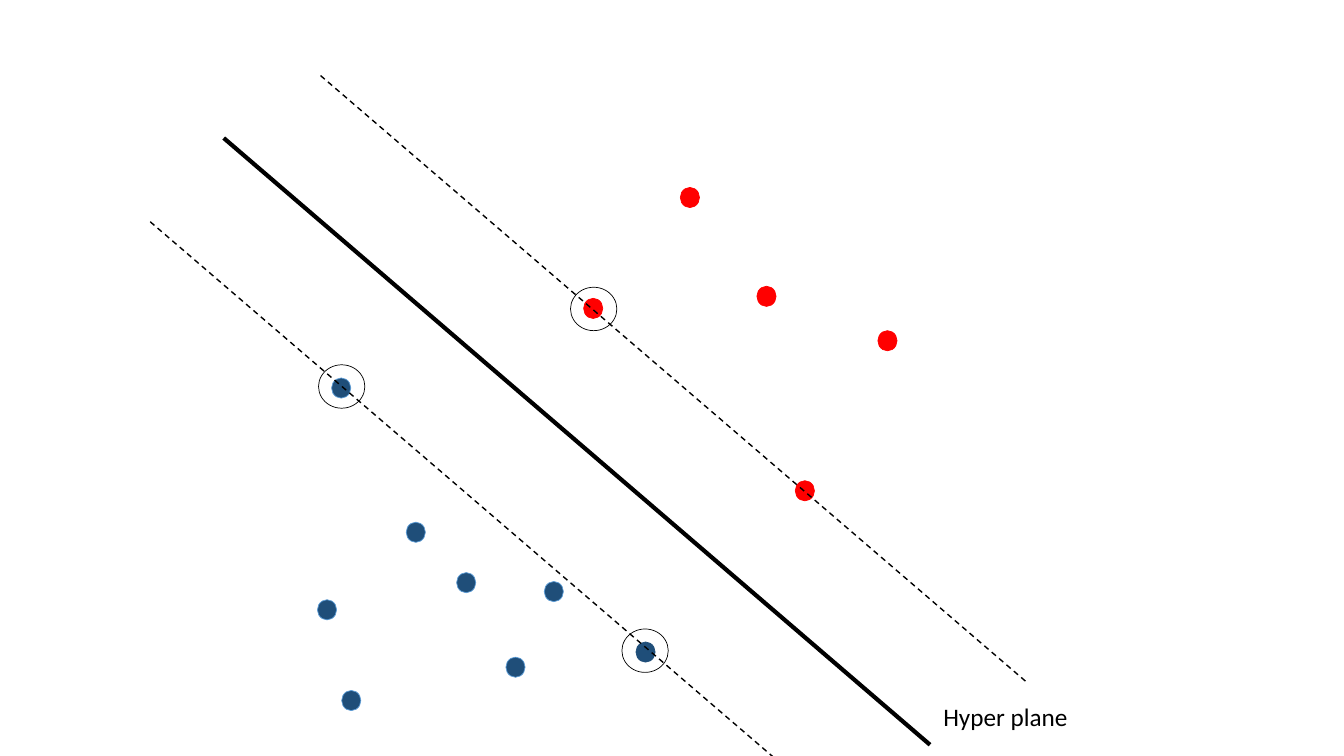
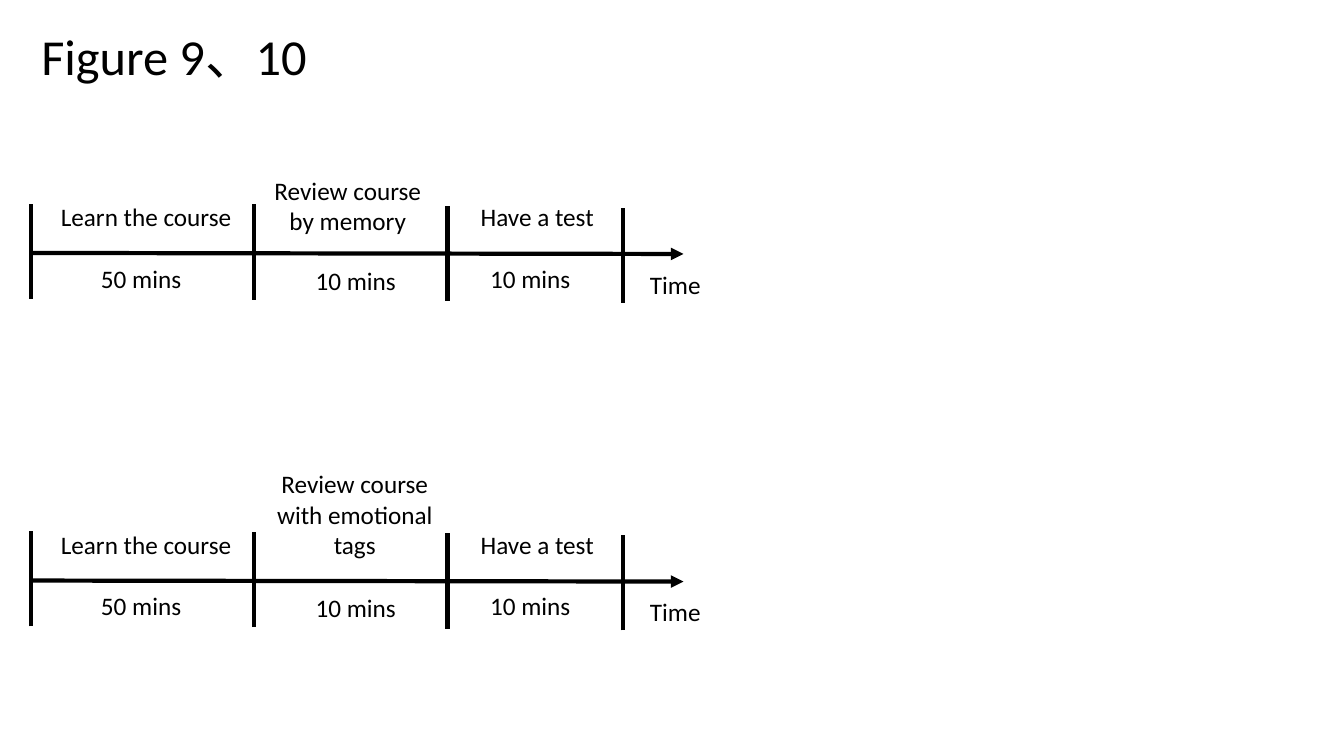
from lxml.etree import SubElement
from pptx import Presentation
from pptx.dml.color import RGBColor
from pptx.enum.dml import MSO_LINE as Dash
from pptx.enum.shapes import MSO_CONNECTOR as Conn, MSO_SHAPE as Shape
from pptx.enum.text import MSO_ANCHOR as Anchor, PP_ALIGN as Align
from pptx.oxml.ns import qn
from pptx.util import Pt

FONT = "Calibri"
BLACK, RED, NAVY, SKY = "000000", "FF0000", "1F4E79", "5B9BD5"

# Dot and ring centres
REDS = [(574.9, 350.6), (423.7, 220.3), (547.5, 211.7),
        (633.9, 243.4), (492.8, 141.1)]
BLUES = [(233.6, 435.6), (250.9, 500.4), (297, 380.2), (368.2, 476.6),
         (395.6, 422.6), (243.7, 277.2), (333, 416.2)]
EDGE_DOT = (461.1, 465.8)
RINGS = [(424.1, 220.7), (244.1, 276.1), (460.8, 464.8)]

# The plane and its two margins share one run and drop
RUN, DROP = 504.5, 433.4
PLANE = (159.8, 98.6)
MARGINS = [(229, 54), (107.3, 158.4)]

# Timeline: tick x and top, then labels, both for the upper row
TICKS = [(22.3, 145.4), (181.4, 146), (319.7, 147), (445, 148.3)]
TICK_H = 68
LABELS = [("Learn the course", 25.2, 140.4, 158.4),
          ("Have a test", 324.7, 140.4, 118.1),
          ("50 mins", 60.5, 184.3, 80.6),
          ("10 mins", 213.8, 185.8, 80.6),
          ("10 mins", 338.4, 184.3, 80.6)]
ROW_GAP = 234


def color(code):
    return RGBColor.from_string(code)


def write(frame, text, size=18, align=Align.LEFT, anchor=Anchor.TOP):
    frame.word_wrap = True
    frame.vertical_anchor = anchor
    para = frame.paragraphs[0]
    para.text = text
    para.alignment = align
    font = para.runs[0].font
    font.name, font.size = FONT, Pt(size)
    font.color.rgb = color(BLACK)


def label(group, text, x, y, w, h=28.8, **style):
    box = group.shapes.add_textbox(Pt(x), Pt(y), Pt(w), Pt(h))
    write(box.text_frame, text, **style)


def oval(group, center, w, h, fill=None, edge=BLACK):
    x, y = center
    shape = group.shapes.add_shape(
        Shape.OVAL, Pt(x - w / 2), Pt(y - h / 2), Pt(w), Pt(h))
    shape.shadow.inherit = False
    if fill:
        shape.fill.solid()
        shape.fill.fore_color.rgb = color(fill)
    else:
        shape.fill.background()
    shape.line.color.rgb = color(edge)
    shape.line.width = Pt(0.5)


def dot(group, center, fill, edge):
    oval(group, center, 13.7, 14.4, fill, edge)


def line(group, x1, y1, x2, y2, width=3, dash=None, arrow=False):
    link = group.shapes.add_connector(
        Conn.STRAIGHT, Pt(x1), Pt(y1), Pt(x2), Pt(y2))
    link.line.color.rgb = color(BLACK)
    link.line.width = Pt(width)
    if dash:
        link.line.dash_style = dash
    if arrow:
        SubElement(link.line._get_or_add_ln(), qn("a:tailEnd"),
                   type="triangle")
    SubElement(link._element.spPr, qn("a:effectLst"))


def slope(group, start, **style):
    x, y = start
    line(group, x, y, x + RUN, y + DROP, **style)


def draw_plane(slide):
    group = slide.shapes.add_group_shape()
    for center in REDS:
        dot(group, center, RED, RED)
    for center in BLUES:
        dot(group, center, NAVY, SKY)
    dot(group, EDGE_DOT, NAVY, NAVY)
    slope(group, PLANE)
    for start in MARGINS:
        slope(group, start, width=1, dash=Dash.DASH)
    for center in RINGS:
        oval(group, center, 33.1, 31)
    label(group, "Hyper plane", 666.7, 497.5, 124.6)


def draw_time(slide, dy, review, x, y, h):
    """Draw one timeline, dy below the upper row; x, y, h place the review."""
    group = slide.shapes.add_group_shape()
    for left, top in TICKS:
        line(group, left, top + dy + TICK_H, left, top + dy)
    line(group, 22.3, 180.7 + dy, 488.2, 181.4 + dy, arrow=True)
    for text, left, top, w in LABELS:
        label(group, text, left, top + dy, w, align=Align.CENTER)
    label(group, review, x, y, 132.5, h, align=Align.CENTER)
    label(group, "Time", 457.2, 188.6 + dy, 69.8)


def set_title(slide, text):
    title = slide.shapes.title
    title.left, title.top = Pt(22.3), Pt(14.4)
    title.width, title.height = Pt(396.7), Pt(51)
    write(title.text_frame, text, size=36, anchor=Anchor.MIDDLE)


def main():
    deck = Presentation()
    deck.slide_width, deck.slide_height = Pt(960), Pt(540)
    only_title, blank = deck.slide_layouts[5], deck.slide_layouts[6]

    draw_plane(deck.slides.add_slide(blank))

    slide = deck.slides.add_slide(only_title)
    set_title(slide, "Figure 9、10")
    draw_time(slide, 0, "Review course by memory", 182.2, 121.7, 51)
    draw_time(slide, ROW_GAP, "Review course with emotional tags",
              187.2, 331.2, 72.7)
    deck.save("out.pptx")


if __name__ == "__main__":
    main()
